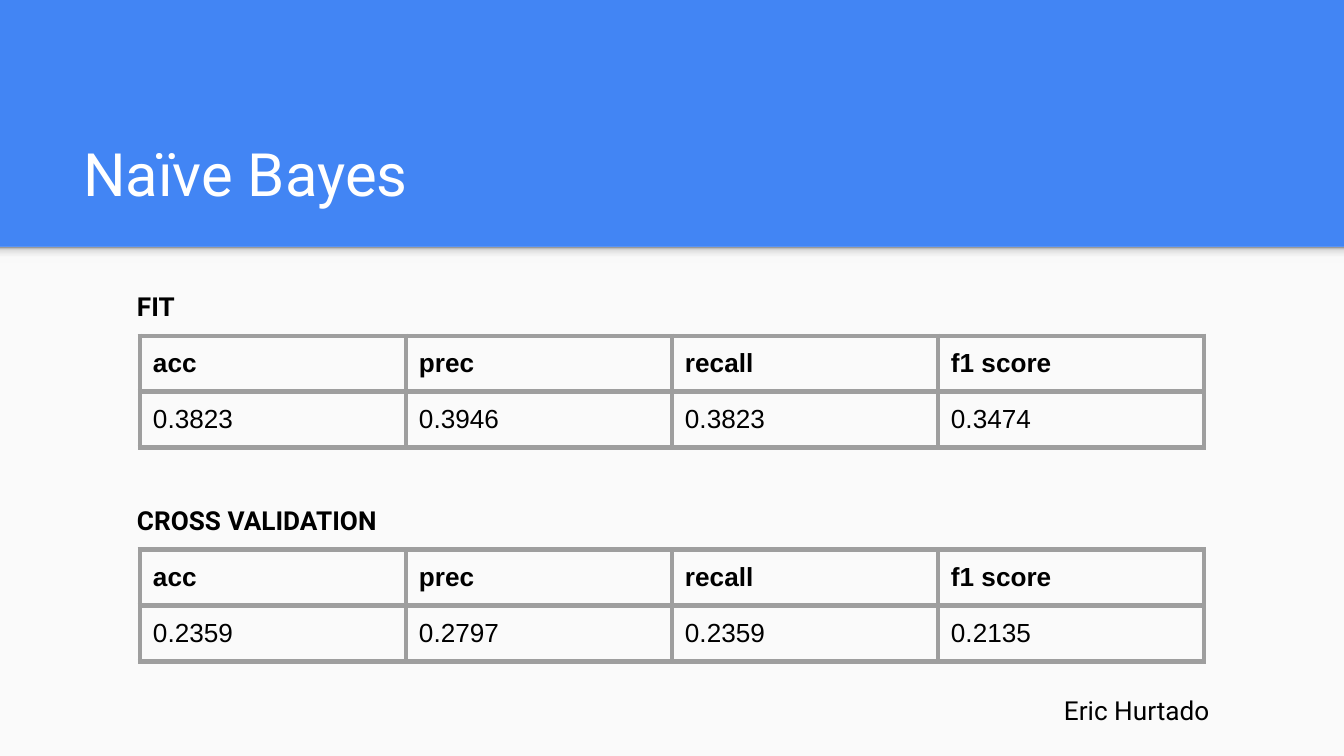
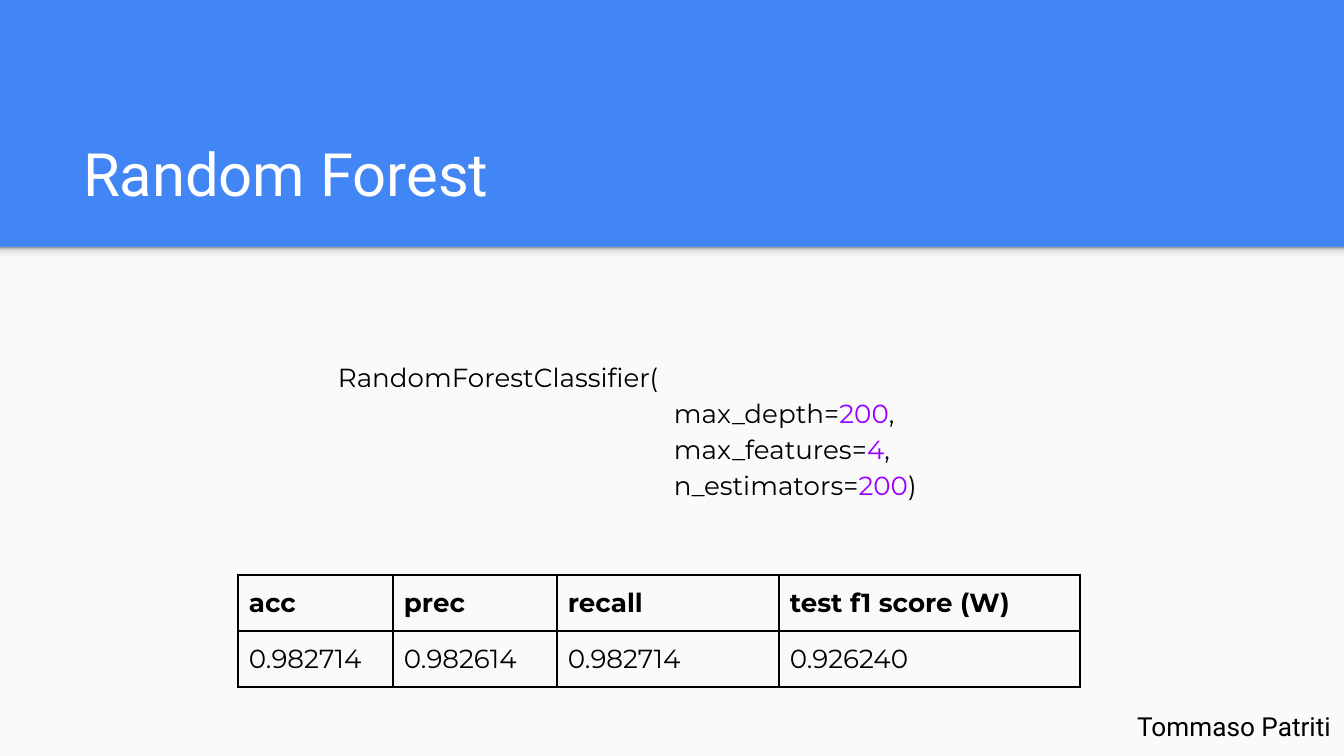
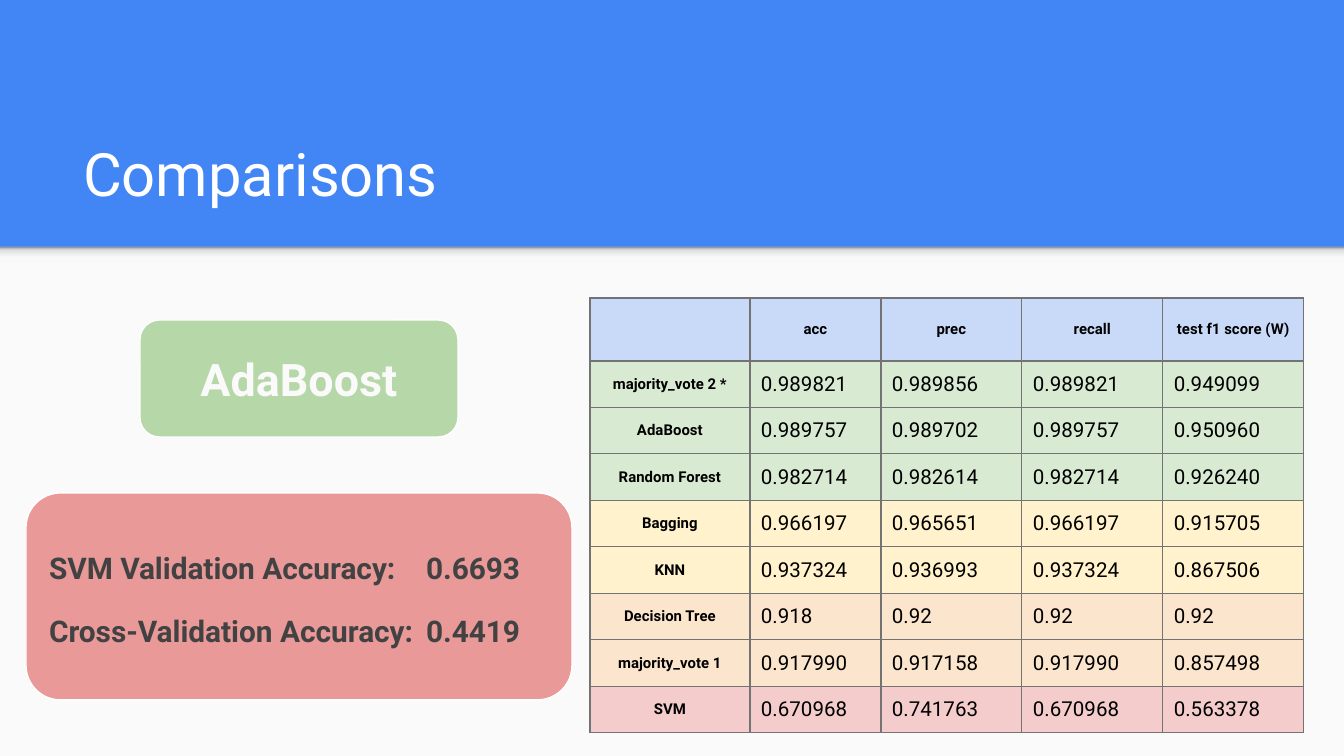
import pptx
import pptx.dml.color
import pptx.enum.shapes
import pptx.enum.text
import pptx.oxml
import pptx.oxml.ns
import pptx.util
from lxml import etree

SLIDE_WIDTH, SLIDE_HEIGHT = 1344, 756
EMU_PER_PX = 9144000 / SLIDE_WIDTH
BAND_HEIGHT = 247
INSET, TIGHT_INSET = 13, 11

COLORS = {
    "band": "4285F4",
    "panel": "FAFAFA",
    "white": "FFFFFF",
    "black": "000000",
    "thick_border": "9E9E9E",
    "thin_border": "737373",
    "number": "9900FF",
    "winner": "B6D7A8",
    "loser": "EA9999",
    "loser_text": "424242",
    "header": "C9DAF8",
    "best": "D9EAD3",
    "good": "FFF2CC",
    "fair": "FCE5CD",
    "worst": "F4CCCC",
}
SHADOW_STOPS = [(0, "F9F9F9"), (36, "F9F9F9"), (80, "DEDEDE"), (100, "999999")]

ALIGN = pptx.enum.text.PP_ALIGN
ANCHOR = pptx.enum.text.MSO_ANCHOR
SHAPES = pptx.enum.shapes.MSO_SHAPE


def px(length):
    return pptx.util.Emu(round(length * EMU_PER_PX))


def rgb(name):
    return pptx.dml.color.RGBColor.from_string(COLORS[name])


def paint(fill, name):
    fill.solid()
    fill.fore_color.rgb = rgb(name)


def add_run(paragraph, text, size, color="black", bold=False, font="Roboto"):
    run = paragraph.add_run()
    run.text = text
    run.font.size = pptx.util.Pt(size)
    run.font.name = font
    run.font.bold = bold
    run.font.color.rgb = rgb(color)


def set_frame(frame, anchor):
    frame.word_wrap = True
    frame.auto_size = pptx.enum.text.MSO_AUTO_SIZE.NONE
    frame.vertical_anchor = anchor
    frame.margin_left = frame.margin_right = px(INSET)
    frame.margin_top = frame.margin_bottom = px(INSET)


def add_box(slide, left, top, width, height, kind, fill, line=None):
    shape = slide.shapes.add_shape(kind, px(left), px(top), px(width), px(height))
    shape.shadow.inherit = False
    paint(shape.fill, fill)
    if line:
        shape.line.color.rgb = rgb(line)
        shape.line.width = pptx.util.Pt(0.75)
    else:
        shape.line.fill.background()
    set_frame(shape.text_frame, ANCHOR.MIDDLE)
    return shape


def add_band_shadow(slide):
    shape = add_box(slide, 0, BAND_HEIGHT, SLIDE_WIDTH, 16, SHAPES.RECTANGLE, "panel")
    shape.fill.gradient()
    shape.fill.gradient_angle = 90
    stops = shape.element.spPr.find(".//" + pptx.oxml.ns.qn("a:gsLst"))
    for stop in list(stops):
        stops.remove(stop)
    for position, color in SHADOW_STOPS:
        stop = etree.SubElement(stops, pptx.oxml.ns.qn("a:gs"), pos=str(position * 1000))
        etree.SubElement(stop, pptx.oxml.ns.qn("a:srgbClr"), val=color)


def add_titled_slide(presentation, text):
    slide = presentation.slides.add_slide(presentation.slide_layouts[5])
    add_box(slide, 0, BAND_HEIGHT, SLIDE_WIDTH, SLIDE_HEIGHT - BAND_HEIGHT,
            SHAPES.RECTANGLE, "panel")
    add_band_shadow(slide)
    title = slide.shapes.title
    title.left, title.top, title.width, title.height = px(70), px(109), px(1208), px(113)
    set_frame(title.text_frame, ANCHOR.BOTTOM)
    paragraph = title.text_frame.paragraphs[0]
    paragraph.alignment = ALIGN.LEFT
    add_run(paragraph, text, 32, "white")
    return slide


def add_text_box(slide, left, top, width, height):
    box = slide.shapes.add_textbox(px(left), px(top), px(width), px(height))
    set_frame(box.text_frame, ANCHOR.TOP)
    return box.text_frame


def add_label(slide, text, left, top, width, bold=False, align=ALIGN.LEFT):
    paragraph = add_text_box(slide, left, top, width, 59).paragraphs[0]
    paragraph.alignment = align
    add_run(paragraph, text, 14, bold=bold)


def add_border(cell, color, width):
    properties = cell._tc.get_or_add_tcPr()
    for side in ("lnL", "lnR", "lnT", "lnB"):
        line = etree.SubElement(properties, pptx.oxml.ns.qn("a:" + side),
                                w=str(pptx.util.Pt(width)))
        solid = etree.SubElement(line, pptx.oxml.ns.qn("a:solidFill"))
        etree.SubElement(solid, pptx.oxml.ns.qn("a:srgbClr"), val=COLORS[color])


def add_grid(slide, left, top, widths, heights, border, border_width):
    table = slide.shapes.add_table(len(heights), len(widths), px(left), px(top),
                                   px(sum(widths)), px(sum(heights))).table
    table.first_row = table.horz_banding = False
    for column, width in zip(table.columns, widths):
        column.width = px(width)
    for row, height in zip(table.rows, heights):
        row.height = px(height)
    for cell in table.iter_cells():
        add_border(cell, border, border_width)
        cell.fill.background()
    return table


def fill_cell(cell, text, size, bold, font, inset, anchor, align=ALIGN.LEFT):
    cell.margin_left = cell.margin_right = px(inset)
    cell.margin_top = cell.margin_bottom = px(inset)
    cell.vertical_anchor = anchor
    paragraph = cell.text_frame.paragraphs[0]
    paragraph.alignment = align
    if text:
        add_run(paragraph, text, size, bold=bold, font=font)


def add_score_table(slide, left, top, widths, rows, border, border_width, font, inset, anchor):
    table = add_grid(slide, left, top, widths, [56] * len(rows), border, border_width)
    for row_index, row in enumerate(rows):
        for column_index, text in enumerate(row):
            fill_cell(table.cell(row_index, column_index), text, 14, row_index == 0,
                      font, inset, anchor)


def add_comparison_table(slide, rows):
    heights = [60] + [46.5] * (len(rows) - 1)
    table = add_grid(slide, 590, 298, [160, 131, 141, 141, 141], heights, "thin_border", 0.75)
    for row_index, (fill, *texts) in enumerate(rows):
        for column_index, text in enumerate(texts):
            cell = table.cell(row_index, column_index)
            heading = row_index == 0 or column_index == 0
            fill_cell(cell, text, 8 if heading else 11, heading, "Roboto", TIGHT_INSET,
                      ANCHOR.MIDDLE, ALIGN.CENTER if heading else ALIGN.LEFT)
            paint(cell.fill, fill)


def add_classifier_call(slide, name, arguments):
    frame = add_text_box(slide, 325, 344, 668, 168)
    first = frame.paragraphs[0]
    first.line_spacing = 1.15
    add_run(first, name + "(", 14, font="Montserrat")
    for index, (argument, value) in enumerate(arguments):
        paragraph = frame.add_paragraph()
        paragraph.line_spacing = 1.15
        properties = paragraph._p.get_or_add_pPr()
        properties.set("marL", str(px(269)))
        properties.set("indent", str(px(67)))
        add_run(paragraph, argument + "=", 14, font="Montserrat")
        add_run(paragraph, value, 14, "number", font="Montserrat")
        closing = ")" if index == len(arguments) - 1 else ","
        add_run(paragraph, closing, 14, font="Montserrat")


def add_accuracy_card(slide, scores):
    card = add_box(slide, 26, 493, 546, 207, SHAPES.ROUNDED_RECTANGLE, "loser", "white")
    frame = card.text_frame
    for index, (label, score) in enumerate(scores):
        paragraph = frame.add_paragraph() if index else frame.paragraphs[0]
        tabs = etree.SubElement(paragraph._p.get_or_add_pPr(), pptx.oxml.ns.qn("a:tabLst"))
        etree.SubElement(tabs, pptx.oxml.ns.qn("a:tab"), pos=str(px(377)), algn="l")
        paragraph.alignment = ALIGN.LEFT
        paragraph.line_spacing = 1.15
        if index:
            paragraph.space_before = paragraph.space_after = pptx.util.Pt(12)
        add_run(paragraph, label + "\t" + score, 16, "loser_text", True)


def build_naive_bayes(presentation):
    slide = add_titled_slide(presentation, "Naïve Bayes")
    sections = [
        ("FIT", 277, ["0.3823", "0.3946", "0.3823", "0.3474"]),
        ("CROSS VALIDATION", 491, ["0.2359", "0.2797", "0.2359", "0.2135"]),
    ]
    for heading, top, scores in sections:
        add_score_table(slide, 140, top + 59, [266] * 4,
                        [["acc", "prec", "recall", "f1 score"], scores],
                        "thick_border", 3, "Arial", INSET, ANCHOR.TOP)
        add_label(slide, heading, 124, top, 297, bold=True)
    add_label(slide, "Eric Hurtado", 1051, 681, 227)


def build_random_forest(presentation):
    slide = add_titled_slide(presentation, "Random Forest")
    add_score_table(slide, 238, 575, [155, 164, 222, 301],
                    [["acc", "prec", "recall", "test f1 score (W)"],
                     ["0.982714", "0.982614", "0.982714", "0.926240"]],
                    "black", 0.75, "Montserrat", TIGHT_INSET, ANCHOR.MIDDLE)
    add_classifier_call(slide, "RandomForestClassifier",
                        [("max_depth", "200"), ("max_features", "4"), ("n_estimators", "200")])
    add_label(slide, "Tommaso Patriti", 1087, 697, 257, align=ALIGN.RIGHT)


def build_comparisons(presentation):
    slide = add_titled_slide(presentation, "Comparisons")
    winner = add_box(slide, 140, 320, 318, 117, SHAPES.ROUNDED_RECTANGLE, "winner", "white")
    paragraph = winner.text_frame.paragraphs[0]
    paragraph.alignment = ALIGN.CENTER
    add_run(paragraph, "AdaBoost", 24, "panel", True)
    add_accuracy_card(slide, [("SVM Validation Accuracy:", "0.6693"),
                              ("Cross-Validation Accuracy:", "0.4419")])
    add_comparison_table(slide, [
        ("header", "", "acc", "prec", "recall", "test f1 score (W)"),
        ("best", "majority_vote 2 *", "0.989821", "0.989856", "0.989821", "0.949099"),
        ("best", "AdaBoost", "0.989757", "0.989702", "0.989757", "0.950960"),
        ("best", "Random Forest", "0.982714", "0.982614", "0.982714", "0.926240"),
        ("good", "Bagging", "0.966197", "0.965651", "0.966197", "0.915705"),
        ("good", "KNN", "0.937324", "0.936993", "0.937324", "0.867506"),
        ("fair", "Decision Tree", "0.918", "0.92", "0.92", "0.92"),
        ("fair", "majority_vote 1", "0.917990", "0.917158", "0.917990", "0.857498"),
        ("worst", "SVM", "0.670968", "0.741763", "0.670968", "0.563378"),
    ])


def main():
    presentation = pptx.Presentation()
    presentation.slide_width = px(SLIDE_WIDTH)
    presentation.slide_height = px(SLIDE_HEIGHT)
    paint(presentation.slide_master.background.fill, "band")
    build_naive_bayes(presentation)
    build_random_forest(presentation)
    build_comparisons(presentation)
    presentation.save("out.pptx")


if __name__ == "__main__":
    main()
